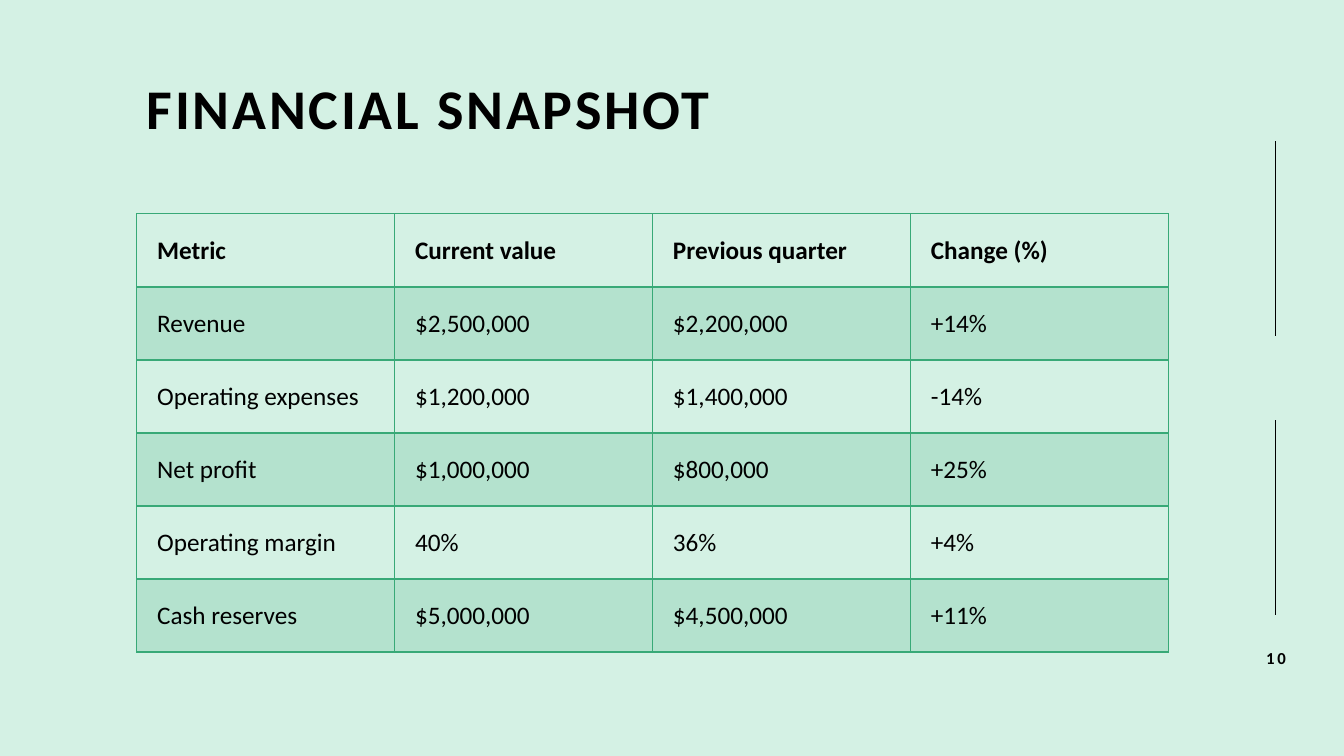
"""Build the financial snapshot slide with its quarterly metrics table."""
from lxml import etree
from pptx import Presentation
from pptx.dml.color import RGBColor
from pptx.enum.shapes import MSO_CONNECTOR
from pptx.enum.text import MSO_ANCHOR, PP_ALIGN
from pptx.oxml.ns import qn
from pptx.util import Cm, Pt

STRAIGHT = MSO_CONNECTOR.STRAIGHT
TOP, MIDDLE = MSO_ANCHOR.TOP, MSO_ANCHOR.MIDDLE
LEFT, CENTER = PP_ALIGN.LEFT, PP_ALIGN.CENTER

TITLE = "FINANCIAL SNAPSHOT"
PAGE_NUMBER = "10"
METRICS = [
    ("Metric", "Current value", "Previous quarter", "Change (%)"),
    ("Revenue", "$2,500,000", "$2,200,000", "+14%"),
    ("Operating expenses", "$1,200,000", "$1,400,000", "-14%"),
    ("Net profit", "$1,000,000", "$800,000", "+25%"),
    ("Operating margin", "40%", "36%", "+4%"),
    ("Cash reserves", "$5,000,000", "$4,500,000", "+11%"),
]
COLORS = {"background": "D4F1E4", "text": "000000", "accent": "38A977"}
FONT = "Calibri"
BAND_OPACITY = 20

SLIDE_SIZE = (33.87, 19.05)
TITLE_BOX = (3.45, 2.13, 26.92, 2.54)
NUMBER_BOX = (30.71, 16.2, 2.9, 0.69)
TABLE_LEFT, TABLE_TOP = 3.45, 5.39
COLUMN_WIDTH, ROW_HEIGHT = 6.5, 1.84
RULE_X, RULE_LENGTH = 32.13, 4.9
RULE_TOPS = (3.56, 10.59)


def color(name):
    return RGBColor.from_string(COLORS[name])


def write_text(text_frame, text, *, size, bold=False, align=LEFT,
               tracking=0, line_spacing=None):
    text_frame.word_wrap = True
    paragraph = text_frame.paragraphs[0]
    paragraph.alignment = align
    if line_spacing:
        paragraph.line_spacing = line_spacing
    run = paragraph.add_run()
    run.text = text
    run.font.name = FONT
    run.font.size = Pt(size)
    run.font.bold = bold
    run.font.color.rgb = color("text")
    if tracking:
        run.font._element.set("spc", str(tracking * 100))


def add_text_box(slide, box, text, **text_format):
    shape = slide.shapes.add_textbox(*map(Cm, box))
    shape.text_frame.vertical_anchor = TOP
    write_text(shape.text_frame, text, **text_format)


def add_rule(slide, top):
    rule = slide.shapes.add_connector(
        STRAIGHT, Cm(RULE_X), Cm(top), Cm(RULE_X), Cm(top + RULE_LENGTH))
    rule.line.color.rgb = color("text")
    rule.line.width = Pt(0.25)
    etree.SubElement(rule._element.spPr, qn("a:effectLst"))


def set_borders(cell, widths):
    properties = cell._tc.get_or_add_tcPr()
    for side in "LRTB":
        line = etree.SubElement(properties, qn(f"a:ln{side}"),
                                w=str(Pt(widths.get(side, 1))))
        fill = etree.SubElement(line, qn("a:solidFill"))
        etree.SubElement(fill, qn("a:srgbClr"), val=COLORS["accent"])


def set_fill(cell, banded):
    if not banded:
        cell.fill.background()
        return
    cell.fill.solid()
    cell.fill.fore_color.rgb = color("accent")
    fill_color = cell._tc.tcPr.find(qn("a:solidFill")).find(qn("a:srgbClr"))
    etree.SubElement(fill_color, qn("a:alpha"), val=str(BAND_OPACITY * 1000))


def add_metrics_table(slide):
    row_count, column_count = len(METRICS), len(METRICS[0])
    table = slide.shapes.add_table(
        row_count, column_count, Cm(TABLE_LEFT), Cm(TABLE_TOP),
        Cm(COLUMN_WIDTH * column_count), Cm(ROW_HEIGHT * row_count)).table
    table.horz_banding = False
    for column in table.columns:
        column.width = Cm(COLUMN_WIDTH)
    for row in table.rows:
        row.height = Cm(ROW_HEIGHT)
    header_rule = {0: {"B": 2}, 1: {"T": 2}}
    for row_index, values in enumerate(METRICS):
        for column_index, value in enumerate(values):
            cell = table.cell(row_index, column_index)
            cell.margin_left = Cm(0.51)
            cell.vertical_anchor = MIDDLE
            set_borders(cell, header_rule.get(row_index, {}))
            set_fill(cell, banded=row_index % 2 == 1)
            write_text(cell.text_frame, value, size=18, bold=row_index == 0)


def main():
    presentation = Presentation()
    presentation.slide_width, presentation.slide_height = map(Cm, SLIDE_SIZE)
    slide = presentation.slides.add_slide(presentation.slide_layouts[6])
    slide.background.fill.solid()
    slide.background.fill.fore_color.rgb = color("background")
    for top in RULE_TOPS:
        add_rule(slide, top)
    add_text_box(slide, TITLE_BOX, TITLE, size=40, bold=True, tracking=2,
                 line_spacing=0.75)
    add_metrics_table(slide)
    add_text_box(slide, NUMBER_BOX, PAGE_NUMBER, size=12, bold=True,
                 align=CENTER, tracking=2)
    presentation.save("out.pptx")


if __name__ == "__main__":
    main()
